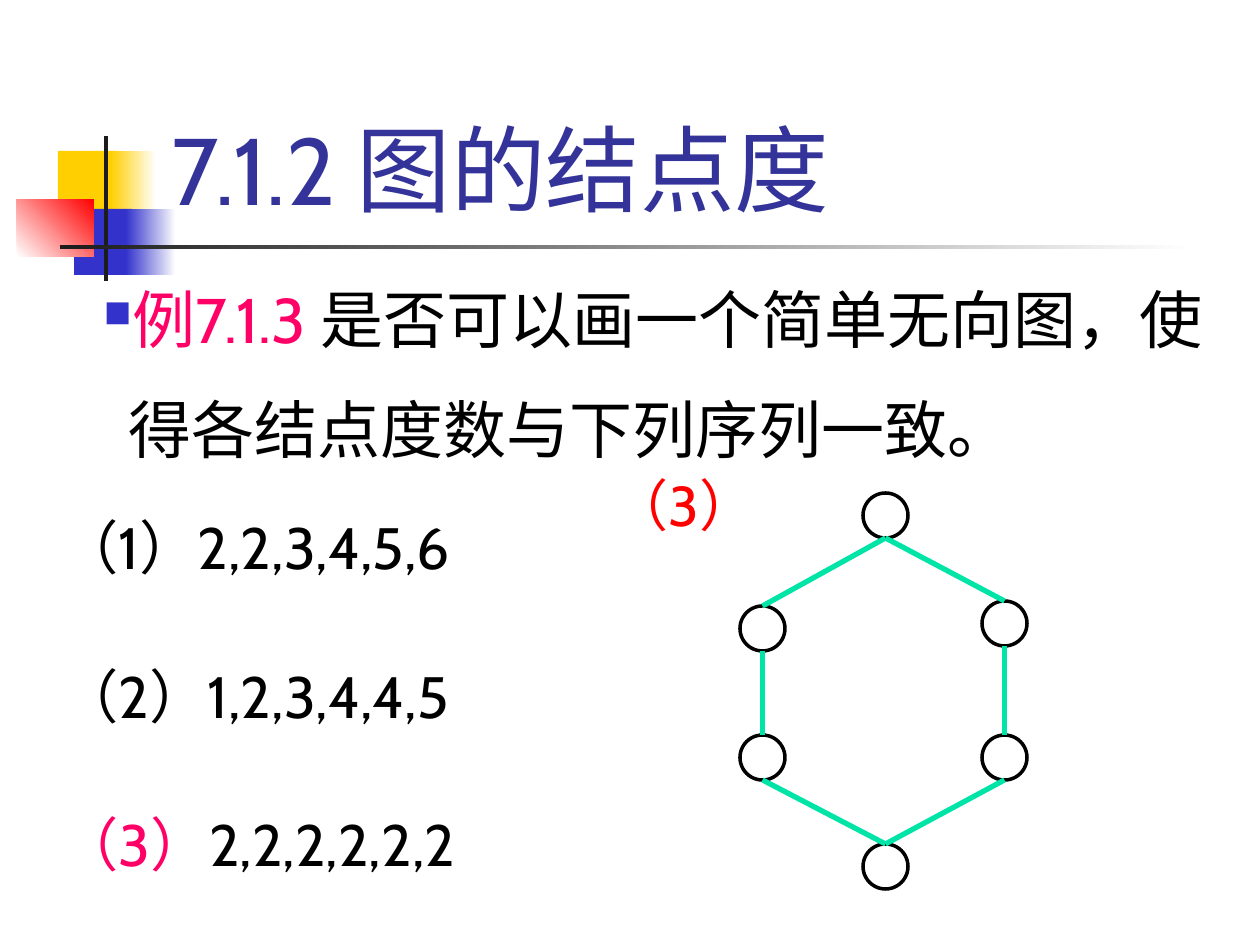
from dataclasses import dataclass

from lxml import etree
from pptx import Presentation
from pptx.dml.color import RGBColor
from pptx.enum.shapes import MSO_CONNECTOR, MSO_SHAPE
from pptx.enum.text import MSO_ANCHOR, MSO_AUTO_SIZE, PP_ALIGN
from pptx.oxml.ns import qn
from pptx.util import Emu, Pt

RECTANGLE, OVAL = MSO_SHAPE.RECTANGLE, MSO_SHAPE.OVAL
STRAIGHT = MSO_CONNECTOR.STRAIGHT
TOP, BOTTOM = MSO_ANCHOR.TOP, MSO_ANCHOR.BOTTOM
LEFT, JUSTIFY = PP_ALIGN.LEFT, PP_ALIGN.JUSTIFY
NO_AUTOFIT = MSO_AUTO_SIZE.NONE
EMU_PER_PX = 914400 / 126


@dataclass(frozen=True)
class Theme:
    font: str = "Cabin"
    title: str = "333399"
    text: str = "000000"
    accent: str = "FF0066"
    answer: str = "FF0000"
    edge: str = "00E4A7"
    yellow: str = "FFCF01"
    blue: str = "3333CC"
    red: str = "FF0000"
    dark: str = "1C1C1C"
    white: str = "FFFFFF"
    title_size: float = 54
    body_size: float = 36
    list_size: float = 33.3
    answer_size: float = 32


THEME = Theme()


def px(length):
    return Emu(round(length * EMU_PER_PX))


def rgb(color):
    return RGBColor.from_string(color)


def place(shape, box):
    shape.left, shape.top, shape.width, shape.height = map(px, box)


def prepare_frame(shape, anchor=TOP):
    frame = shape.text_frame
    frame.word_wrap = True
    frame.auto_size = NO_AUTOFIT
    frame.vertical_anchor = anchor
    return frame


def add_bullet(properties, character, color, percent):
    bullet_color = etree.SubElement(properties, qn("a:buClr"))
    etree.SubElement(bullet_color, qn("a:srgbClr"), val=color)
    etree.SubElement(properties, qn("a:buSzPct"), val=str(percent * 1000))
    etree.SubElement(properties, qn("a:buFont"), typeface="Wingdings")
    etree.SubElement(properties, qn("a:buChar"), char=character)


def add_paragraph(frame, index, runs, size, spacing=1.0, before=0,
                  margin=0, indent=0, align=LEFT, bullet=None):
    paragraph = frame.add_paragraph() if index else frame.paragraphs[0]
    paragraph.alignment = align
    paragraph.line_spacing = spacing
    paragraph.space_before = Pt(before if index else 0)
    properties = paragraph._p.get_or_add_pPr()
    properties.set("marL", str(px(margin)))
    properties.set("indent", str(px(indent)))
    if bullet:
        add_bullet(properties, *bullet)
    else:
        etree.SubElement(properties, qn("a:buNone"))
    for text, color in runs:
        run = paragraph.add_run()
        run.text = text
        run.font.name = THEME.font
        run.font.size = Pt(size)
        run.font.color.rgb = rgb(color)


def add_block(slide, box, start, end=None, angle=0):
    block = slide.shapes.add_shape(RECTANGLE, *map(px, box))
    block.shadow.inherit = False
    block.line.fill.background()
    if end is None:
        block.fill.solid()
        block.fill.fore_color.rgb = rgb(start)
        return
    block.fill.gradient()
    block.fill.gradient_angle = angle
    for stop, color in zip(block.fill.gradient_stops, (start, end)):
        stop.color.rgb = rgb(color)


def add_decoration(slide, box):
    left, top, width, height = box
    blocks = [
        ((41, 15, 60, 66), THEME.yellow),
        ((94, 15, 45, 66), THEME.yellow, THEME.white),
        ((57, 73, 58, 66), THEME.blue),
        ((109, 73, 50, 66), THEME.blue, THEME.white),
        ((0, 63, 77, 58), THEME.white, THEME.red, 45),
        ((87, 0, 4, height), THEME.dark),
        ((43, 109, width - 43, 4), THEME.dark, THEME.white),
    ]
    for (x, y, block_width, block_height), *paint in blocks:
        add_block(slide, (left + x, top + y, block_width, block_height), *paint)


def add_title(slide, box):
    title = slide.shapes.title
    place(title, box)
    frame = prepare_frame(title, BOTTOM)
    add_paragraph(frame, 0, [("7.1.2 图的结点度", THEME.title)], THEME.title_size)


def add_question(slide, box):
    body = slide.placeholders[1]
    place(body, box)
    frame = prepare_frame(body)
    lines = [
        ([("例7.1.3 ", THEME.accent), ("是否可以画一个简单无向图，使", THEME.text)],
         28, ("n", THEME.blue, 60)),
        ([("得各结点度数与下列序列一致。", THEME.text)], 53, None),
    ]
    for index, (runs, indent, bullet) in enumerate(lines):
        add_paragraph(frame, index, runs, THEME.body_size, 1.25, 9,
                      48, indent, JUSTIFY, bullet)


def add_sequences(slide, box):
    frame = prepare_frame(slide.shapes.add_textbox(*map(px, box)))
    sequences = [
        ("（1）", "2,2,3,4,5,6", THEME.text),
        ("（2）", "1,2,3,4,4,5", THEME.text),
        ("（3）", "2,2,2,2,2,2", THEME.accent),
    ]
    for index, (label, degrees, color) in enumerate(sequences):
        add_paragraph(frame, index, [(label, color), (degrees, THEME.text)],
                      THEME.list_size, 1.9, 9, margin=14)


def add_answer_label(slide, box):
    frame = prepare_frame(slide.shapes.add_textbox(*map(px, box)))
    add_paragraph(frame, 0, [("（3）", THEME.answer)], THEME.answer_size, 1.5,
                  margin=48, indent=-48)


def add_cycle_graph(slide, box):
    left, top, width, height = box
    diameter = 45
    right, middle, lowest = width - diameter, 123, height - diameter
    nodes = {
        "top": (middle, 0),
        "upper left": (0, 113),
        "upper right": (right, 108),
        "lower left": (0, 242),
        "lower right": (right, 242),
        "bottom": (middle, lowest),
    }
    edges = [("top", "upper left"), ("top", "upper right"),
             ("upper left", "lower left"), ("upper right", "lower right"),
             ("lower left", "bottom"), ("lower right", "bottom")]
    for x, y in nodes.values():
        node = slide.shapes.add_shape(
            OVAL, px(left + x), px(top + y), px(diameter), px(diameter))
        node.shadow.inherit = False
        node.fill.background()
        node.line.color.rgb = rgb(THEME.text)
        node.line.width = Pt(2)
    center = left + diameter / 2
    for upper, lower in edges:
        (start_x, start_y), (end_x, end_y) = nodes[upper], nodes[lower]
        edge = slide.shapes.add_connector(
            STRAIGHT, px(center + start_x), px(top + start_y + diameter),
            px(center + end_x), px(top + end_y))
        edge.line.color.rgb = rgb(THEME.edge)
        edge.line.width = Pt(3)
        etree.SubElement(edge._element.spPr, qn("a:effectLst"))


def main():
    presentation = Presentation()
    presentation.slide_width, presentation.slide_height = px(1260), px(945)
    slide = presentation.slides.add_slide(presentation.slide_layouts[1])
    add_decoration(slide, (17, 136, 1177, 145))
    add_title(slide, (159, 29, 1074, 202))
    add_sequences(slide, (34, 442, 556, 488))
    add_answer_label(slide, (600, 431, 660, 517))
    add_question(slide, (15, 255, 1245, 312))
    add_cycle_graph(slide, (740, 493, 287, 396))
    presentation.save("out.pptx")


if __name__ == "__main__":
    main()
